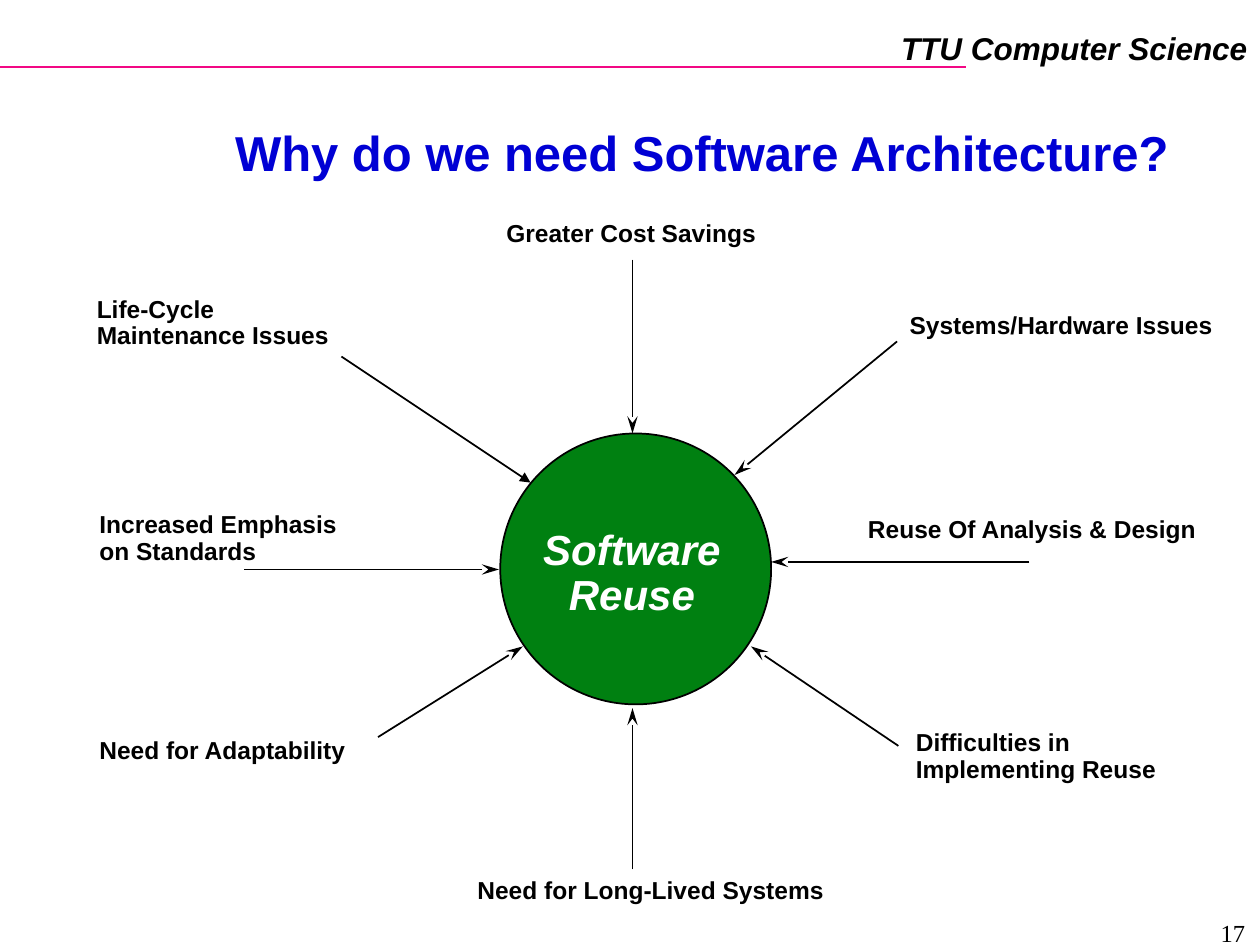
from dataclasses import dataclass

from lxml import etree
from pptx import Presentation
from pptx.dml.color import RGBColor
from pptx.enum.shapes import MSO_CONNECTOR, MSO_SHAPE
from pptx.enum.text import MSO_ANCHOR, PP_ALIGN
from pptx.oxml.ns import qn
from pptx.util import Inches, Pt

LEFT, CENTER, RIGHT = PP_ALIGN.LEFT, PP_ALIGN.CENTER, PP_ALIGN.RIGHT
TOP, MIDDLE = MSO_ANCHOR.TOP, MSO_ANCHOR.MIDDLE
STRAIGHT, OVAL = MSO_CONNECTOR.STRAIGHT, MSO_SHAPE.OVAL
TITLE_ONLY = 5

COLORS = {
    "ink": "000000",
    "title": "0000D4",
    "rule": "F20884",
    "hub": "008011",
    "hub_text": "FFFFFF",
}

Box = tuple[float, float, float, float]
Point = tuple[float, float]


@dataclass(frozen=True)
class TextStyle:
    size: float
    color: str = "ink"
    font: str = "Arial"
    bold: bool = True
    italic: bool = False
    align: PP_ALIGN = LEFT
    spacing: float = 1.0
    wrap: bool = False
    anchor: MSO_ANCHOR = TOP
    insets: Point = (0.1, 0.05)


@dataclass(frozen=True)
class Driver:
    """A reason for reuse: its label and the arrow from it to the hub."""
    lines: tuple[str, ...]
    box: Box
    start: Point
    end: Point
    head: str = "stealth"


HEADER = TextStyle(18, italic=True, align=RIGHT)
TITLE = TextStyle(28, "title", align=CENTER, spacing=0.87, wrap=True,
                  anchor=MIDDLE, insets=(0.07, 0.03))
HUB = TextStyle(24, "hub_text", italic=True, align=CENTER, spacing=0.9, wrap=True)
LABEL = TextStyle(14, spacing=0.9)
PAGE_NUMBER = TextStyle(14, font="Times New Roman", bold=False, align=RIGHT, wrap=True)

DRIVERS = [
    Driver(("Life-Cycle", "Maintenance Issues"), (0.67, 2.31, 2.04, 0.52),
           (2.71, 2.83), (4.21, 3.83), "triangle"),
    Driver(("Greater Cost Savings",), (3.92, 1.71, 2.19, 0.31),
           (5.02, 2.06), (5.02, 3.44)),
    Driver(("Systems/Hardware Issues",), (7.12, 2.44, 2.61, 0.31),
           (7.12, 2.71), (5.83, 3.77)),
    Driver(("Reuse Of Analysis & Design",), (6.79, 4.06, 2.81, 0.31),
           (8.17, 4.46), (6.12, 4.46)),
    Driver(("Difficulties in", "Implementing Reuse"), (7.17, 5.75, 2.11, 0.52),
           (7.13, 5.92), (5.96, 5.13)),
    Driver(("Need for Long-Lived Systems",), (3.69, 6.92, 2.95, 0.31),
           (5.02, 6.9), (5.02, 5.62)),
    Driver(("Increased Emphasis", "on Standards"), (0.69, 4.02, 2.09, 0.52),
           (1.94, 4.52), (3.96, 4.52)),
    Driver(("Need for Adaptability",), (0.69, 5.81, 2.16, 0.31),
           (3, 5.85), (4.15, 5.13)),
]


def rgb(name: str) -> RGBColor:
    return RGBColor.from_string(COLORS[name])


def set_attributes(target, values: dict) -> None:
    for name, value in values.items():
        setattr(target, name, value)


def write_text(shape, lines: tuple[str, ...], style: TextStyle) -> None:
    frame = shape.text_frame
    side, edge = map(Inches, style.insets)
    set_attributes(frame, {
        "word_wrap": style.wrap, "vertical_anchor": style.anchor,
        "margin_left": side, "margin_right": side,
        "margin_top": edge, "margin_bottom": edge,
    })
    frame.text = "\n".join(lines)
    for paragraph in frame.paragraphs:
        set_attributes(paragraph, {
            "alignment": style.align, "line_spacing": style.spacing,
            "space_before": Pt(0),
        })
        for run in paragraph.runs:
            set_attributes(run.font, {
                "name": style.font, "size": Pt(style.size),
                "bold": style.bold, "italic": style.italic,
            })
            run.font.color.rgb = rgb(style.color)


def add_text(slide, box: Box, lines: tuple[str, ...], style: TextStyle) -> None:
    write_text(slide.shapes.add_textbox(*map(Inches, box)), lines, style)


def add_line(slide, start: Point, end: Point, color: str = "ink", head: str = "") -> None:
    line = slide.shapes.add_connector(STRAIGHT, *map(Inches, (*start, *end)))
    line.line.color.rgb = rgb(color)
    line.line.width = Pt(1)
    properties = line.line._get_or_add_ln()
    if head:
        length = "lg" if head == "stealth" else "med"
        etree.SubElement(properties, qn("a:tailEnd"), type=head, w="med", len=length)
    etree.SubElement(line._element.spPr, qn("a:effectLst"))


def add_title(slide, box: Box, text: str) -> None:
    title = slide.shapes.title
    set_attributes(title, dict(zip(("left", "top", "width", "height"), map(Inches, box))))
    write_text(title, (text,), TITLE)


def add_hub(slide) -> None:
    hub = slide.shapes.add_shape(OVAL, *map(Inches, (3.97, 3.44, 2.15, 2.15)))
    hub.shadow.inherit = False
    hub.fill.solid()
    hub.fill.fore_color.rgb = rgb("hub")
    hub.line.color.rgb = rgb("ink")
    hub.line.width = Pt(1)
    add_text(slide, (3.85, 4.15, 2.33, 0.82), ("Software Reuse",), HUB)


def main() -> None:
    presentation = Presentation()
    presentation.slide_width, presentation.slide_height = Inches(10), Inches(7.5)
    slide = presentation.slides.add_slide(presentation.slide_layouts[TITLE_ONLY])

    add_line(slide, (0, 0.53), (7.67, 0.53), "rule")
    add_text(slide, (7.05, 0.18, 2.95, 0.4), ("TTU Computer Science",), HEADER)
    add_title(slide, (1.78, 1.01, 7.58, 0.46), "Why do we need Software Architecture?")
    add_hub(slide)
    for driver in DRIVERS:
        add_text(slide, driver.box, driver.lines, LABEL)
        add_line(slide, driver.start, driver.end, head=driver.head)
    add_text(slide, (7.65, 7.24, 2.33, 0.22), ("17",), PAGE_NUMBER)

    presentation.save("out.pptx")


if __name__ == "__main__":
    main()
